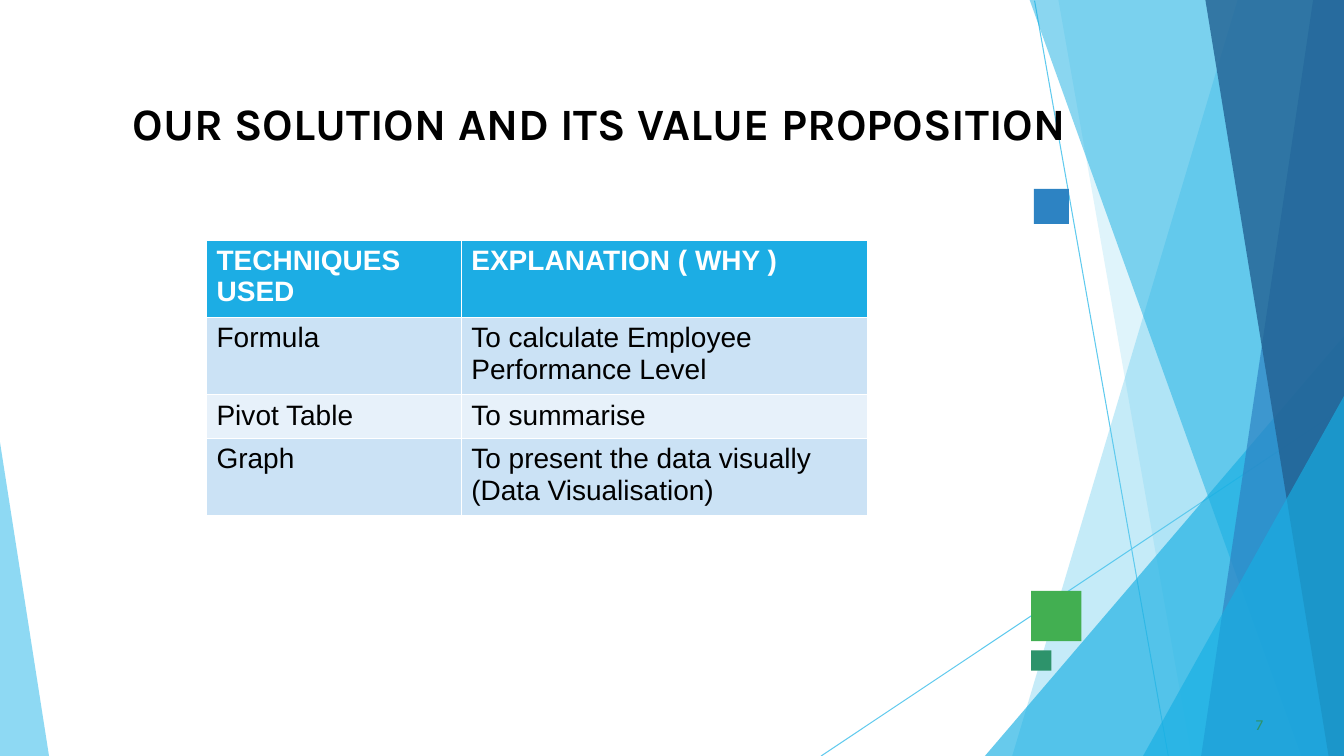
from pptx import Presentation
from pptx.dml.color import RGBColor
from pptx.enum.shapes import MSO_CONNECTOR as Link, MSO_SHAPE as Form
from pptx.enum.text import MSO_ANCHOR as Anchor, PP_ALIGN as Align
from pptx.oxml.ns import qn
from pptx.util import Pt
from lxml.etree import SubElement

WIDE, HIGH = 960, 540
HUES = {
    "black": "000000", "white": "FFFFFF", "sky": "5FCAEE", "cyan": "17AFE3",
    "blue": "2D83C3", "navy": "226192", "green": "42AF51", "teal": "2D936B",
    "head": "1CADE4", "odd": "CBE2F5", "even": "E7F1FA",
}
TITLE = "OUR SOLUTION AND ITS VALUE PROPOSITION"
PAGE = "7"
ROWS = [
    ("TECHNIQUES USED", "EXPLANATION ( WHY )"),
    ("Formula", "To calculate Employee Performance Level"),
    ("Pivot Table", "To summarise"),
    ("Graph", "To present the data visually (Data Visualisation)"),
]
COLS = [182, 290.5]
ROW_H = 29.5

LINES = [(739, 0.5, 834.5, HIGH), (WIDE, 291, 586.5, HIGH)]
# Facets on the right edge: hue, opacity, top y, top x, foot x
FACETS = [
    ("sky", 36, 0, 884, 723),
    ("sky", 20, 0, 756, 851),
    ("cyan", 65, 240, WIDE, 703.5),
    ("cyan", 50, 0, 735.5, 929.5),
    ("blue", 70, 0, 938, 858),
    ("navy", 80, 0, 861, 949),
    ("cyan", 65, 283, WIDE, 816.5),
]
WEDGE = [(0, 316), (0, HIGH), (35, HIGH)]
# Squares: hue, left, top, side
SQUARES = [
    ("green", 736.5, 422, 36),
    ("blue", 738.5, 135, 25),
    ("teal", 736.5, 464.5, 14.5),
]


def hue(name):
    return RGBColor.from_string(HUES[name])


def paint(shape, name):
    shape.shadow.inherit = False
    shape.fill.solid()
    shape.fill.fore_color.rgb = hue(name)
    shape.line.fill.background()


def facet(tree, name, alpha, spots):
    spots = [(Pt(x), Pt(y)) for x, y in spots]
    pen = tree.build_freeform(*spots[0])
    pen.add_line_segments(spots[1:], close=True)
    shape = pen.convert_to_shape()
    paint(shape, name)
    tint = shape._element.spPr.find(qn("a:solidFill"))[0]
    SubElement(tint, qn("a:alpha")).set("val", str(alpha * 1000))


def style(frame, size, face, name, bold=False):
    for part in frame.paragraphs:
        for run in part.runs:
            font = run.font
            font.size, font.name, font.bold = Pt(size), face, bold
            font.color.rgb = hue(name)


def pad(frame):
    """Drop the inner margins and hold the text at the top."""
    frame.margin_left = frame.margin_right = frame.margin_bottom = 0
    frame.margin_top = Pt(1)
    frame.vertical_anchor = Anchor.TOP
    frame.word_wrap = True


def scene(tree):
    for ends in LINES:
        line = tree.add_connector(Link.STRAIGHT, *map(Pt, ends))
        line.line.color.rgb = hue("sky")
        line.line.width = Pt(0.75)
        SubElement(line._element.spPr, qn("a:effectLst"))
    for name, alpha, top, x, foot in FACETS:
        spots = [(WIDE, top), (x, top), (foot, HIGH), (WIDE, HIGH)]
        if x == WIDE:
            del spots[1]
        facet(tree, name, alpha, spots)
    facet(tree, "sky", 70, WEDGE)
    for name, x, y, side in SQUARES:
        box = map(Pt, (x, y, side, side))
        paint(tree.add_shape(Form.RECTANGLE, *box), name)


def words(tree):
    title = tree.title
    title.left, title.top, title.width, title.height = map(Pt, (44, 67.5, 769, 40))
    frame = title.text_frame
    frame.text = TITLE
    pad(frame)
    frame.paragraphs[0].alignment = Align.CENTER
    style(frame, 32, "Karla", "black", True)
    tree._spTree.append(title._element)  # in front of the facets

    frame = tree.add_textbox(*map(Pt, (894, 510, 12.5, 15))).text_frame
    frame.text = PAGE
    pad(frame)
    frame.margin_left = Pt(3)
    style(frame, 11, "Karla", "teal")


def grid(tree):
    box = map(Pt, (147.5, 171.5, sum(COLS), ROW_H * len(ROWS)))
    table = tree.add_table(len(ROWS), len(COLS), *box).table
    for col, width in zip(table.columns, COLS):
        col.width = Pt(width)
    for r, row in enumerate(ROWS):
        table.rows[r].height = Pt(ROW_H)
        back = "head" if r == 0 else "odd" if r % 2 else "even"
        for c, text in enumerate(row):
            cell = table.cell(r, c)
            cell.text_frame.text = text
            cell.fill.solid()
            cell.fill.fore_color.rgb = hue(back)
            style(cell.text_frame, 20, "Arial", "black" if r else "white", r == 0)


def main():
    deck = Presentation()
    deck.slide_width, deck.slide_height = Pt(WIDE), Pt(HIGH)
    tree = deck.slides.add_slide(deck.slide_layouts[5]).shapes
    scene(tree)
    words(tree)
    grid(tree)
    deck.save("out.pptx")


if __name__ == "__main__":
    main()
